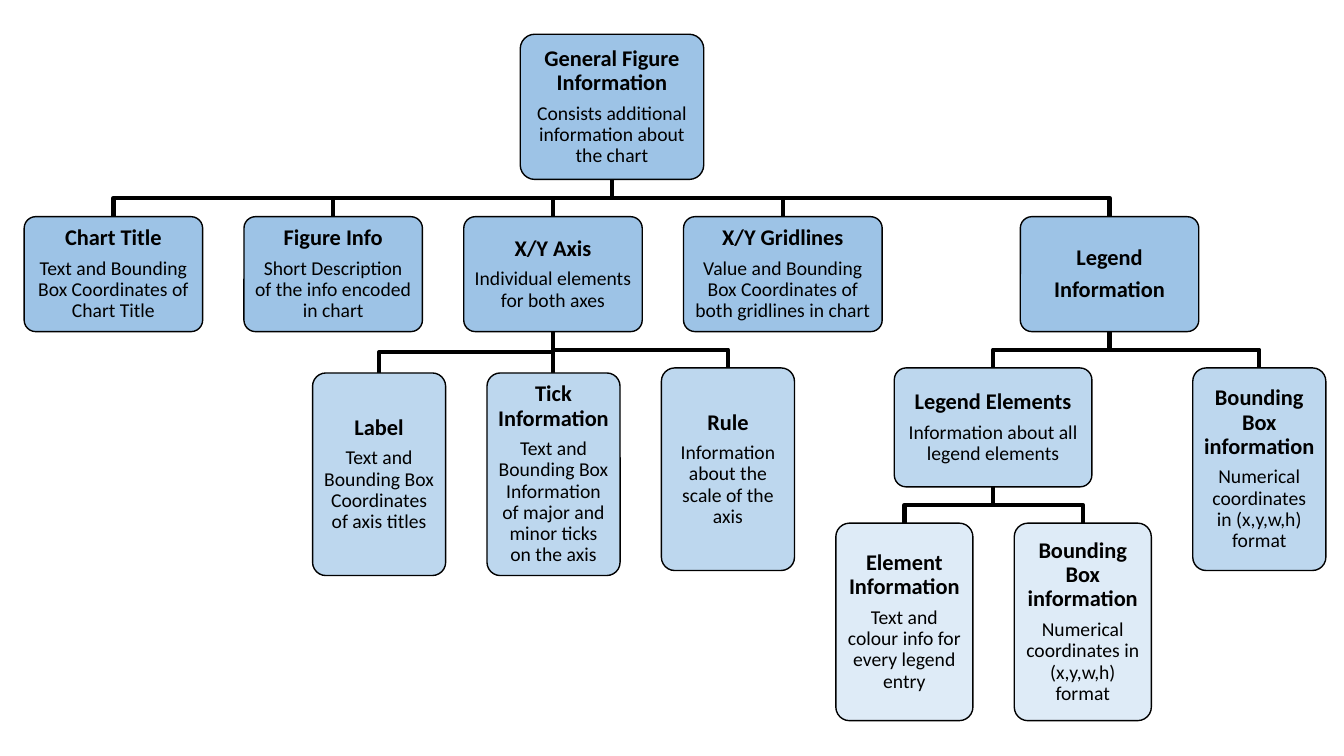
from dataclasses import dataclass, field

from pptx import Presentation
from pptx.dml.color import RGBColor
from pptx.enum.shapes import MSO_CONNECTOR, MSO_SHAPE
from pptx.enum.text import MSO_ANCHOR, PP_ALIGN
from pptx.util import Inches, Pt
from lxml import etree

LEVEL_FILLS = ["9DC3E6", "BDD7EE", "DEEBF7"]
FIELD_TOP, FIELD_HEIGHT = 2.15, 1.14
PART_TOP, PART_WIDTH, PART_HEIGHT = 3.65, 1.32, 2.01


@dataclass
class Node:
    """A box of the tree; lengths in inches, level picks the fill."""
    heading: str
    detail: str
    left: float
    top: float
    width: float
    height: float
    level: int
    children: list = field(default_factory=list)
    bold_detail: bool = False

    @property
    def center(self):
        return self.left + self.width / 2

    @property
    def bottom(self):
        return self.top + self.height


def field_node(heading, detail, left, width=1.77, **options):
    return Node(heading, detail, left, FIELD_TOP, width, FIELD_HEIGHT, 0, **options)


def part_node(heading, detail, left, top=PART_TOP):
    return Node(heading, detail, left, top, PART_WIDTH, PART_HEIGHT, 1)


def element_node(heading, detail, left):
    return Node(heading, detail, left, 5.19, 1.36, 1.96, 2)


def rgb(color):
    return RGBColor.from_string(color)


class TreeSlide:
    font = "Calibri"
    ink = "000000"
    margin = Inches(0.07)

    def __init__(self, slide):
        self.slide = slide

    def outline(self, shape, width):
        shape.line.color.rgb = rgb(self.ink)
        shape.line.width = Pt(width)

    def add_text(self, paragraph, text, size=14, bold=False):
        paragraph.alignment = PP_ALIGN.CENTER
        paragraph.line_spacing = 0.9
        paragraph.space_after = Pt(size * 0.35)
        run = paragraph.add_run()
        run.text = text
        run.font.name = self.font
        run.font.size = Pt(size)
        run.font.bold = bold
        run.font.color.rgb = rgb(self.ink)

    def box(self, node):
        bounds = [Inches(n) for n in (node.left, node.top, node.width, node.height)]
        shape = self.slide.shapes.add_shape(MSO_SHAPE.ROUNDED_RECTANGLE, *bounds)
        shape.adjustments[0] = 0.1
        shape.shadow.inherit = False
        shape.fill.solid()
        shape.fill.fore_color.rgb = rgb(LEVEL_FILLS[node.level])
        self.outline(shape, 1)
        frame = shape.text_frame
        frame.word_wrap = True
        frame.vertical_anchor = MSO_ANCHOR.MIDDLE
        frame.margin_left = frame.margin_right = self.margin
        frame.margin_top = frame.margin_bottom = self.margin
        self.add_text(frame.paragraphs[0], node.heading, size=16, bold=True)
        self.add_text(frame.add_paragraph(), node.detail,
                      size=16 if node.bold_detail else 14, bold=node.bold_detail)

    def link(self, parent, child):
        """Joins two boxes, with a bend halfway unless they are in line."""
        start_x, end_x = Inches(parent.center), Inches(child.center)
        start_y, end_y = Inches(parent.bottom), Inches(child.top)
        if abs(parent.center - child.center) < 0.02:
            line = self.slide.shapes.add_connector(
                MSO_CONNECTOR.STRAIGHT, start_x, start_y, start_x, end_y)
            self.outline(line, 3)
            properties = line._element.spPr
            namespace = properties.nsmap["a"]
            etree.SubElement(properties, f"{{{namespace}}}effectLst")
            return
        middle_y = (start_y + end_y) // 2
        builder = self.slide.shapes.build_freeform(start_x, start_y)
        builder.add_line_segments(
            [(start_x, middle_y), (end_x, middle_y), (end_x, end_y)], close=False)
        elbow = builder.convert_to_shape()
        elbow.shadow.inherit = False
        elbow.fill.background()
        self.outline(elbow, 3)

    def tree(self, node):
        self.box(node)
        for child in node.children:
            self.link(node, child)
            self.tree(child)


def chart_tree():
    bounding_box = ("Bounding Box information", "Numerical coordinates in (x,y,w,h) format")
    axis_parts = [
        part_node("Label", "Text and Bounding Box Coordinates of axis titles", 3.1, top=3.7),
        part_node("Tick Information",
                  "Text and Bounding Box Information of major and minor ticks on the axis",
                  4.83, top=3.7),
        part_node("Rule", "Information about the scale of the axis", 6.56),
    ]
    legend_elements = Node(
        "Legend Elements", "Information about all legend elements",
        8.87, PART_TOP, 1.96, 1.18, 1,
        [element_node("Element Information",
                      "Text and colour info for every legend entry", 8.29),
         element_node(*bounding_box, 10.06)])
    fields = [
        field_node("Chart Title", "Text and Bounding Box Coordinates of Chart Title", 0.24),
        field_node("Figure Info", "Short Description of the info encoded in chart", 2.42),
        field_node("X/Y Axis", "Individual elements for both axes", 4.6, children=axis_parts),
        field_node("X/Y Gridlines",
                   "Value and Bounding Box Coordinates of both gridlines in chart",
                   6.78, width=1.97),
        field_node("Legend", "Information", 10.12, bold_detail=True,
                   children=[legend_elements, part_node(*bounding_box, 11.83)]),
    ]
    return Node("General Figure Information",
                "Consists additional information about the chart",
                5.16, 0.34, 1.82, 1.44, 0, fields)


def main():
    presentation = Presentation()
    presentation.slide_width = Inches(13.33)
    presentation.slide_height = Inches(7.5)
    blank_layout = presentation.slide_layouts[6]
    TreeSlide(presentation.slides.add_slide(blank_layout)).tree(chart_tree())
    presentation.save("out.pptx")


if __name__ == "__main__":
    main()
